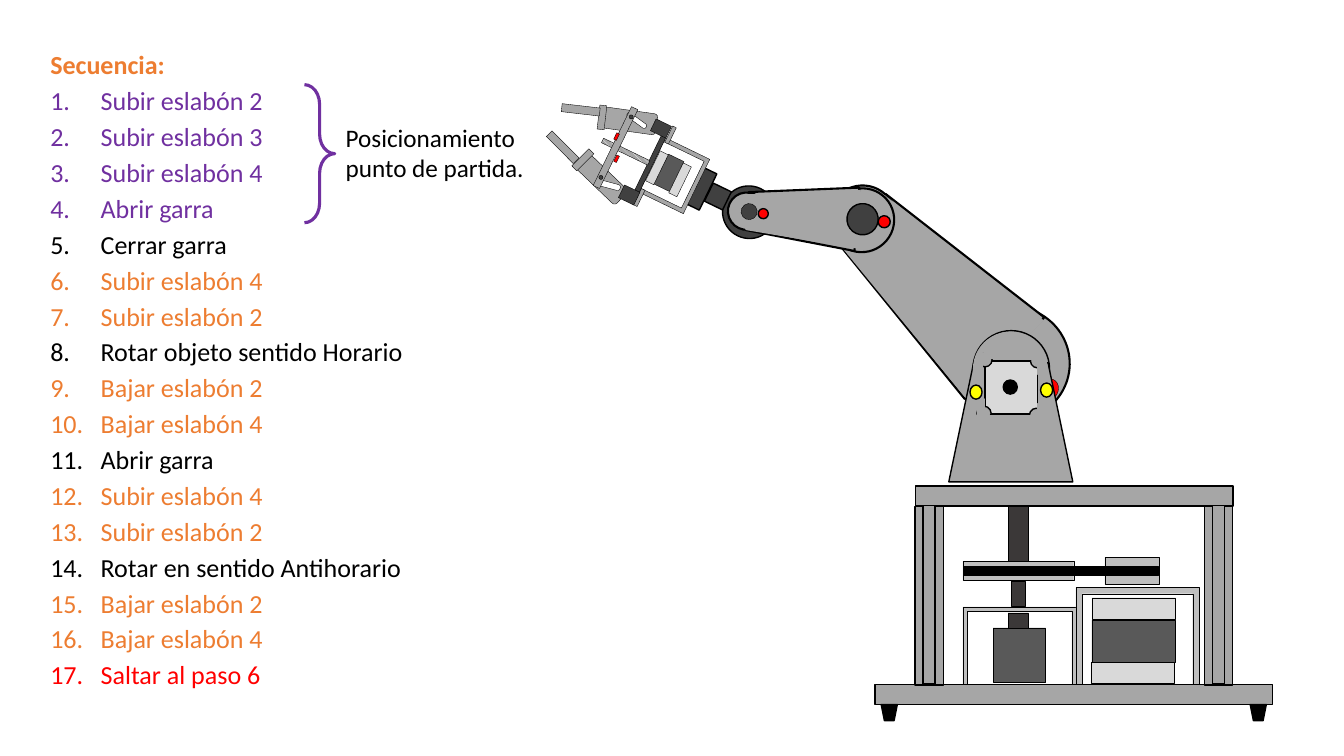
from lxml.etree import SubElement
from pptx import Presentation
from pptx.dml.color import RGBColor
from pptx.enum.dml import MSO_PATTERN
from pptx.enum.shapes import MSO_SHAPE
from pptx.oxml.ns import qn
from pptx.util import Cm, Pt

CM_PER_INCH = 2.54
BLACK = RGBColor(0, 0, 0)
WHITE = RGBColor(255, 255, 255)
RED = RGBColor(255, 0, 0)
YELLOW = RGBColor(255, 255, 0)
ORANGE = RGBColor(0xED, 0x7D, 0x31)
PURPLE = RGBColor(0x70, 0x30, 0xA0)
METAL = RGBColor(0xA6, 0xA6, 0xA6)
BRACKET = RGBColor(0xBF, 0xBF, 0xBF)
LIGHT = RGBColor(0xD9, 0xD9, 0xD9)
MOTOR = RGBColor(0x59, 0x59, 0x59)
DARK = RGBColor(0x40, 0x40, 0x40)
SHAFT = RGBColor(0x3B, 0x38, 0x38)
RECT = MSO_SHAPE.RECTANGLE
ROUND = MSO_SHAPE.ROUNDED_RECTANGLE
OVAL = MSO_SHAPE.OVAL
FRAME = MSO_SHAPE.FRAME
TAPER = MSO_SHAPE.FLOWCHART_MANUAL_OPERATION
HAND_TURN = 115.9

FINGERS = [
    (ROUND, (5.87, 1.51, 0.2, 0.54), METAL, 133.8, None),
    (ROUND, (6, 1.71, 0.06, 0.25), WHITE, 104.9, 0.405),
    (RECT, (5.66, 1.55, 0.24, 0.07), METAL, 135.1, None),
    (RECT, (5.54, 1.27, 0.08, 0.38), METAL, 135.1, None),
    (ROUND, (6.14, 0.93, 0.21, 0.54), METAL, 97.9, None),
    (ROUND, (6.29, 1.08, 0.05, 0.23), WHITE, 126.2, 0.405),
    (RECT, (5.85, 1.13, 0.24, 0.07), METAL, 96.6, None),
    (RECT, (5.72, 0.9, 0.08, 0.38), METAL, 96.6, None),
]
WRIST = [
    (OVAL, (7.17, 1.84, 0.52, 0.53)),
    (RECT, (7.02, 1.85, 0.2, 0.2)),
    (RECT, (6.75, 1.79, 0.4, 0.16)),
]
PALM = [
    ((6.56, 1.32, 0.18, 0.04), METAL),
    ((6.25, 1.94, 0.18, 0.04), METAL),
    ((6.15, 1.6, 0.6, 0.05), DARK),
    ((6.49, 1.19, 0.13, 0.17), DARK),
    ((6.17, 1.85, 0.14, 0.17), DARK),
    ((6.47, 1.63, 0.33, 0.17), MOTOR),
    ((6.58, 1.74, 0.33, 0.09), LIGHT),
    ((6.35, 1.62, 0.33, 0.09), LIGHT),
]
ARM = [
    (OVAL, (9.45, 3.04, 1.16, 1.13), METAL, 1.5, 5, BLACK),
    (TAPER, (8.69, 1.87, 1.13, 1.98), METAL, 1.5, 134.4, BLACK),
    (OVAL, (8.22, 1.84, 0.67, 0.67), METAL, 1.5, 5, BLACK),
    (TAPER, (8.72, 1.88, 1.07, 1.98), METAL, 1.5, 134.4, METAL),
    (OVAL, (8.23, 1.87, 0.64, 0.63), METAL, 1.5, 324.8, BLACK),
    (TAPER, (7.64, 1.59, 0.63, 1.09), METAL, 1.5, 94.3, BLACK),
    (OVAL, (7.22, 1.91, 0.37, 0.37), METAL, 1.5, 324.8, BLACK),
    (TAPER, (7.68, 1.59, 0.56, 1.1), METAL, 1.5, 93.6, METAL),
    (OVAL, (8.4, 2.02, 0.31, 0.31), DARK, 1, 23.1, BLACK),
    (OVAL, (7.35, 2.02, 0.16, 0.16), DARK, 0.25, 23.1, BLACK),
    (OVAL, (8.71, 2.14, 0.12, 0.12), RED, 1, 55.6, BLACK),
    (OVAL, (7.52, 2.07, 0.1, 0.1), RED, 1, 55.6, BLACK),
]
NOTCHES = [(10.22, 3.51), (10.21, 4.05), (9.69, 4.03), (9.7, 3.5)]
NOTCH_COVERS = [
    ((10.18, 3.51, 0.17, 0.06), 0),
    ((10.24, 3.59, 0.18, 0.07), 90),
    ((10.23, 4.07, 0.2, 0.07), 90),
    ((10.14, 4.12, 0.15, 0.07), 0),
    ((9.69, 4.12, 0.18, 0.05), 0),
    ((9.65, 4.01, 0.16, 0.06), 90),
    ((9.63, 3.56, 0.18, 0.05), 90),
    ((9.76, 3.5, 0.15, 0.06), 0),
]
MACHINERY = [
    ((10.83, 6.15, 0.83, 0.42), MOTOR, 0.25),
    ((10.83, 5.93, 0.83, 0.21), LIGHT, 0.25),
    ((10.82, 6.57, 0.83, 0.21), LIGHT, 0.25),
    ((9.85, 6.23, 0.52, 0.54), MOTOR, 0.25),
    ((9.55, 5.57, 1.1, 0.19), BRACKET, 0.25),
    ((10.96, 5.53, 0.54, 0.27), BRACKET, 0.25),
    ((9.56, 5.62, 1.93, 0.09), BLACK, 1),
    ((10, 5.02, 0.2, 0.55), SHAFT, 0.25),
    ((10, 6.08, 0.2, 0.15), SHAFT, 0.25),
    ((10.03, 5.77, 0.14, 0.24), SHAFT, 0.25),
]
STEPS = [
    ("Subir eslabón 2", PURPLE), ("Subir eslabón 3", PURPLE),
    ("Subir eslabón 4", PURPLE), ("Abrir garra", PURPLE),
    ("Cerrar garra", BLACK),
    ("Subir eslabón 4", ORANGE), ("Subir eslabón 2", ORANGE),
    ("Rotar objeto sentido Horario", BLACK),
    ("Bajar eslabón 2", ORANGE), ("Bajar eslabón 4", ORANGE),
    ("Abrir garra", BLACK),
    ("Subir eslabón 4", ORANGE), ("Subir eslabón 2", ORANGE),
    ("Rotar en sentido Antihorario", BLACK),
    ("Bajar eslabón 2", ORANGE), ("Bajar eslabón 4", ORANGE),
    ("Saltar al paso 6", RED),
]


def to_lengths(inches):
    """Convert measures in inches to slide lengths."""
    return [Cm(value * CM_PER_INCH) for value in inches]


def add_part(shapes, kind, at, fill, weight=0.25, turn=0, edge=BLACK, adjust=None):
    """Add one preset shape; a fill or edge of None stays empty."""
    part = shapes.add_shape(kind, *to_lengths(at))
    part.shadow.inherit = False
    part.rotation = turn
    if adjust is not None:
        part.adjustments[0] = adjust
    if fill is None:
        part.fill.background()
    else:
        part.fill.solid()
        part.fill.fore_color.rgb = fill
    if edge is None:
        part.line.fill.background()
    else:
        part.line.color.rgb = edge
        part.line.width = Pt(weight)
    return part


def draw_gripper(shapes):
    """Draw the fingers, wrist and palm of the claw."""
    for kind, at, fill, turn, adjust in FINGERS:
        add_part(shapes, kind, at, fill, turn=turn, adjust=adjust)
    for kind, at in WRIST:
        add_part(shapes, kind, at, DARK, 1, HAND_TURN)
    add_part(shapes, FRAME, (6.37, 1.47, 0.6, 0.53), METAL, turn=HAND_TURN, adjust=0.079)
    for at, fill in PALM:
        add_part(shapes, RECT, at, fill, turn=HAND_TURN)
    screw = add_part(shapes, RECT, (6.18, 1.25, 0.05, 0.51), METAL, turn=HAND_TURN)
    screw.fill.patterned()
    screw.fill.pattern = MSO_PATTERN.WIDE_DOWNWARD_DIAGONAL
    screw.fill.fore_color.rgb = WHITE
    screw.fill.back_color.rgb = METAL
    add_part(shapes, RECT, (6.08, 1.56, 0.07, 0.03), RED, turn=HAND_TURN)
    add_part(shapes, RECT, (6.07, 1.03, 0.07, 0.87), METAL, turn=25.9)
    for left, top in [(6.24, 1.14), (5.94, 1.74)]:
        add_part(shapes, OVAL, (left, top, 0.04, 0.04), DARK, turn=HAND_TURN)
    add_part(shapes, RECT, (6.08, 1.34, 0.07, 0.03), RED, turn=HAND_TURN)


def draw_shoulder(shapes):
    """Draw the shoulder support with its notched motor face."""
    add_part(shapes, ROUND, (9.65, 3.28, 0.76, 0.82), METAL, 1, adjust=0.5)
    add_part(shapes, TAPER, (9.41, 3.6, 1.23, 1.18), METAL, 1, 180)
    add_part(shapes, ROUND, (9.65, 3.29, 0.74, 0.79), METAL, edge=None, adjust=0.5)
    add_part(shapes, RECT, (9.77, 3.58, 0.52, 0.53), LIGHT, 1)
    add_part(shapes, OVAL, (9.95, 3.77, 0.14, 0.14), BLACK, 1)
    for left, top in NOTCHES:
        add_part(shapes, OVAL, (left, top, 0.14, 0.14), METAL, 1)
    for at, turn in NOTCH_COVERS:
        add_part(shapes, RECT, at, METAL, 1, turn, METAL)


def draw_base(shapes):
    """Draw the base with its plates, posts, feet and motors."""
    for at in [(9.55, 6.02, 1.13, 0.86), (10.67, 5.83, 1.22, 1.1)]:
        add_part(shapes, FRAME, at, BRACKET, adjust=0.055)
    for at in [(9.08, 4.82, 3.15, 0.2), (8.68, 6.79, 3.94, 0.2)]:
        add_part(shapes, RECT, at, METAL, 1)
    for left in (8.33, 11.2):
        for top, width in [(5.77, 0.28), (5.84, 0.12)]:
            add_part(shapes, RECT, (left, top, 1.77, width), METAL, 1, 90)
    for left in (8.74, 12.4):
        add_part(shapes, TAPER, (left, 6.99, 0.16, 0.16), BLACK, 1)
    for at, fill, weight in MACHINERY:
        add_part(shapes, RECT, at, fill, weight)


def add_text(page, at, lines, size):
    """Add a wrapping text box holding (text, colour) lines."""
    box = page.shapes.add_textbox(*to_lengths(at))
    box.text_frame.word_wrap = True
    box.text_frame.text = "\n".join(text for text, _ in lines)
    for para, (_, colour) in zip(box.text_frame.paragraphs, lines):
        para.font.name = "Calibri"
        para.font.size = Pt(size)
        para.font.color.rgb = colour
    return box


def draw_sequence(page):
    """Write the heading and the numbered steps."""
    lines = [("Secuencia:", ORANGE)] + STEPS
    box = add_text(page, (0.4, 0.52, 3.89, 6.89), lines, 18.6)
    heading, *steps = box.text_frame.paragraphs
    heading.line_spacing = 0.7
    heading.font.bold = True
    for step in steps:
        step.line_spacing = 0.7
        step.space_before = Pt(10)
        properties = step._p.get_or_add_pPr()
        properties.set("marL", str(Cm(1.27)))
        properties.set("indent", str(-Cm(1.27)))
        numbering = SubElement(properties, qn("a:buAutoNum"), type="arabicPeriod")
        properties.find(qn("a:defRPr")).addprevious(numbering)


def main():
    """Build the robot arm slide."""
    deck = Presentation()
    deck.slide_width, deck.slide_height = to_lengths((13.33, 7.5))
    page = deck.slides.add_slide(deck.slide_layouts[6])
    robot = page.shapes.add_group_shape().shapes
    draw_gripper(robot)
    for part in ARM:
        add_part(robot, *part)
    add_part(page.shapes, OVAL, (10.27, 3.77, 0.24, 0.2), RED, turn=309.9)
    draw_shoulder(page.shapes.add_group_shape().shapes)
    draw_base(page.shapes.add_group_shape().shapes)
    for at in [(9.61, 3.83, 0.14, 0.12), (10.31, 3.81, 0.14, 0.12)]:
        add_part(page.shapes, OVAL, at, YELLOW, 1, 90)
    draw_sequence(page)
    add_part(page.shapes, MSO_SHAPE.RIGHT_BRACE, (3.02, 0.84, 0.3, 1.37), None, 2.25,
             edge=PURPLE, adjust=0.646)
    add_text(page, (3.33, 1.16, 2.1, 0.71), [("Posicionamiento punto de partida.", BLACK)], 18)
    deck.save("out.pptx")


if __name__ == "__main__":
    main()
